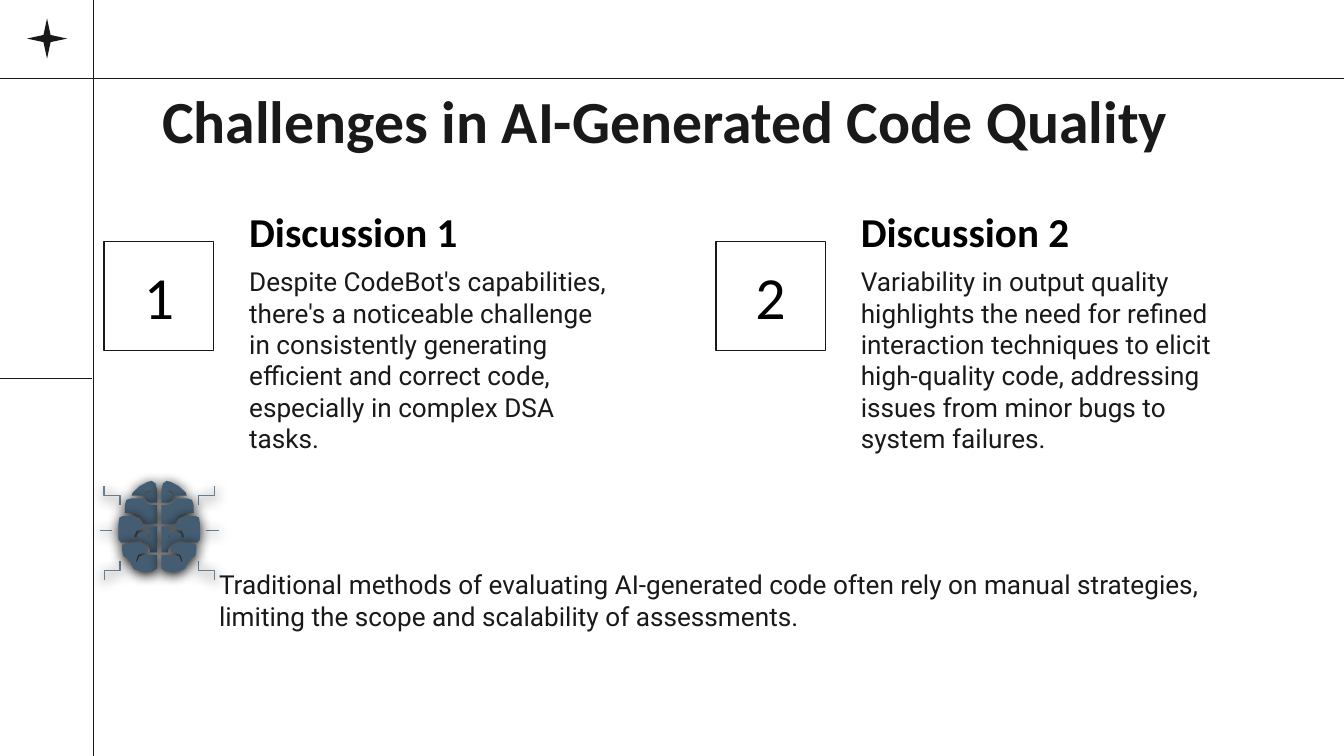
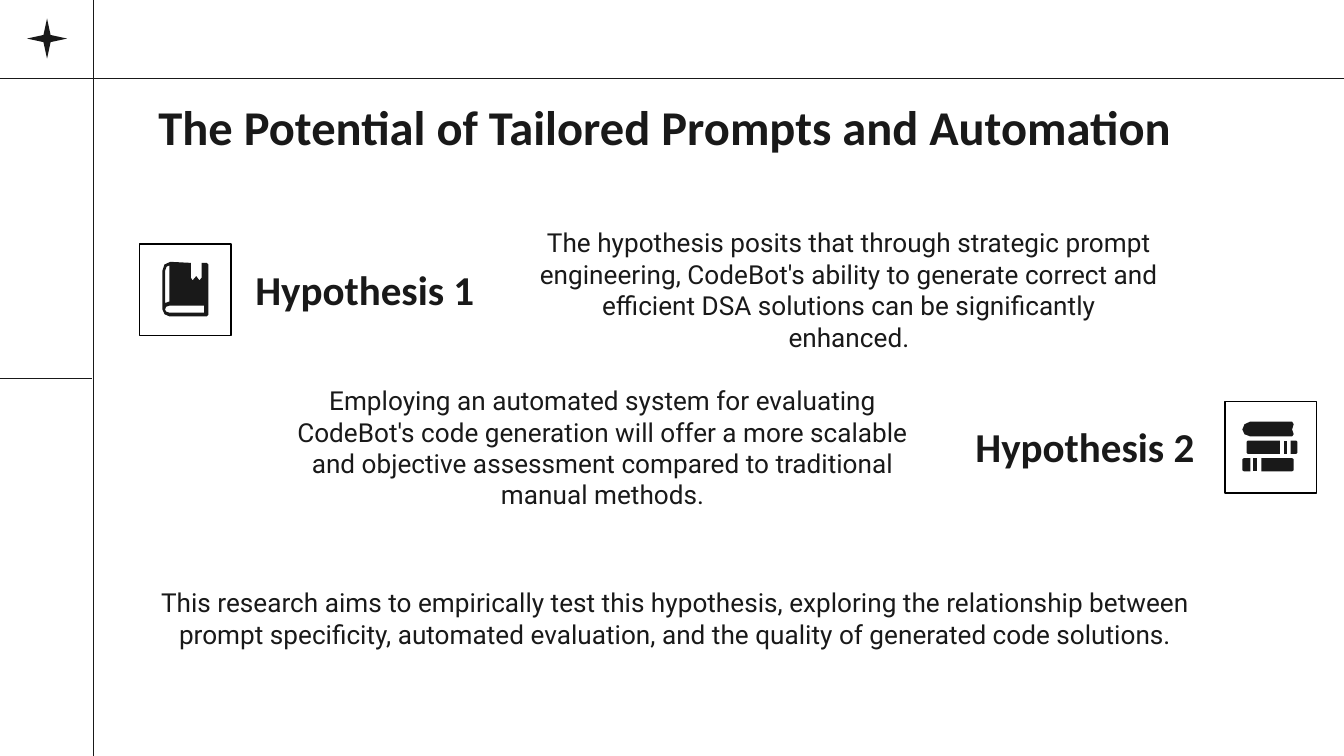
import pptx
import pptx.dml.color
import pptx.enum.shapes
import pptx.enum.text
import pptx.oxml.ns
import pptx.util
from lxml import etree
from pptx.util import Cm

WIDTH, HEIGHT = 25.4, 14.29
INK, BLACK, SLATE, STEEL = "191919", "000000", "445D73", "667E92"
HEADING, BODY = "Calibri", "Roboto"
ALIGN = pptx.enum.text.PP_ALIGN
ANCHOR = pptx.enum.text.MSO_ANCHOR
SHAPE = pptx.enum.shapes.MSO_SHAPE
CONNECTOR = pptx.enum.shapes.MSO_CONNECTOR
qn = pptx.oxml.ns.qn

# Right half of the brain, in cm from its axis and its top.
LOBES = [
    [(.14, 0), (.07, .05), (.04, .18), (.04, .41), (.17, .41), (.24, .38),
     (.27, .33), (.27, .3), (.24, .23), (.17, .2), (.14, .2), (.11, .18),
     (.14, .17), (.17, .17), (.25, .2), (.29, .28), (.52, .28), (.5, .22),
     (.37, .1), (.22, .02)],
    [(.52, .33), (.29, .33), (.26, .42), (.17, .46), (.04, .46), (.04, .81),
     (.29, .81), (.36, .67), (.5, .61), (.65, .61), (.65, .46), (.62, .36)],
    [(.67, .66), (.5, .66), (.37, .71), (.32, .81), (.32, .91), (.34, .91),
     (.43, .95), (.47, 1.04), (.47, 1.07), (.44, 1.08), (.42, 1.07),
     (.42, 1.04), (.4, .99), (.34, .97), (.27, .97), (.21, .99), (.19, 1.04),
     (.19, 1.08), (.17, 1.07), (.17, 1.04), (.2, .94), (.27, .91), (.29, .91),
     (.29, .86), (.04, .86), (.04, 1.35), (.17, 1.35), (.17, 1.3), (.22, 1.19),
     (.34, 1.14), (.55, 1.14), (.72, 1.17), (.77, 1.11), (.77, .81),
     (.75, .69)],
    [(.55, 1.17), (.34, 1.17), (.25, 1.22), (.22, 1.3), (.22, 1.35),
     (.29, 1.35), (.4, 1.4), (.44, 1.52), (.43, 1.55), (.42, 1.52),
     (.38, 1.43), (.29, 1.4), (.04, 1.4), (.04, 1.65), (.12, 1.71),
     (.27, 1.73), (.48, 1.67), (.57, 1.5), (.6, 1.47), (.68, 1.42),
     (.7, 1.32), (.7, 1.22), (.67, 1.19)],
]

# Icon outlines, in cm from the corner of their tile.
BOOK = [
    [(.56, .41), (.56, 1.09), (.48, 1.12), (.48, .51), (.51, .43)],
    [(1.22, 1.17), (1.22, 1.3), (.56, 1.3), (.5, 1.28), (.48, 1.24),
     (.5, 1.19), (.56, 1.17)],
    [(.58, .34), (.47, .39), (.43, .51), (.43, 1.24), (.47, 1.33),
     (.56, 1.37), (1.27, 1.37), (1.3, 1.34), (1.3, .39), (1.27, .36),
     (1.17, .36), (1.17, .64), (1.13, .69), (1.07, .61), (1, .69),
     (.97, .64), (.97, .36)],
]
BOOK_STACK = [
    [(.48, .38), (.37, .43), (.33, .53), (.37, .62), (.48, .66), (1.27, .66),
     (1.3, .62), (1.27, .53), (1.3, .43), (1.27, .38)],
    [(1.12, .74), (1.12, .99), (1.17, .99), (1.17, .74)],
    [(1.24, .74), (1.24, .99), (1.35, .99), (1.37, .97), (1.37, .76),
     (1.35, .74)],
    [(.43, .74), (.41, .76), (.41, .97), (.43, .99), (1.04, .99), (1.04, .74)],
    [(.53, 1.07), (.53, 1.32), (.61, 1.32), (.61, 1.07)],
    [(.69, 1.07), (.69, 1.32), (1.27, 1.32), (1.3, 1.3), (1.3, 1.09),
     (1.27, 1.07)],
    [(.36, 1.07), (.33, 1.09), (.33, 1.3), (.36, 1.32), (.48, 1.32),
     (.48, 1.07)],
]


def rgb(value):
    return pptx.dml.color.RGBColor.from_string(value)


def add_effects(shape, shaded):
    """Replace the theme shadow by none, or by a soft dark one."""
    properties = shape._element.spPr
    for inherited in properties.findall(qn("a:effectLst")):
        properties.remove(inherited)
    effects = etree.SubElement(properties, qn("a:effectLst"))
    if shaded:
        shadow = etree.SubElement(effects, qn("a:outerShdw"), blurRad="86360",
                                  dist="19050", dir="5040000", algn="bl",
                                  rotWithShape="0")
        etree.SubElement(shadow, qn("a:srgbClr"), val=BLACK)


def write(shape, text, size, font, color=INK, bold=False, align=ALIGN.LEFT,
          anchor=ANCHOR.MIDDLE, inset=.25):
    frame = shape.text_frame
    frame.word_wrap = True
    frame.vertical_anchor = anchor
    frame.margin_left = Cm(inset)
    frame.margin_right = frame.margin_top = frame.margin_bottom = Cm(.25)
    paragraph = frame.paragraphs[0]
    paragraph.text = text
    paragraph.alignment = align
    paragraph.font.name = font
    paragraph.font.size = pptx.util.Pt(size)
    paragraph.font.bold = bold
    paragraph.font.color.rgb = rgb(color)


def add_text(slide, box, text, size=14, font=BODY, **style):
    write(slide.shapes.add_textbox(*map(Cm, box)), text, size, font, **style)


def add_centred(slide, box, text, size=14, font=BODY, **style):
    add_text(slide, box, text, size, font, align=ALIGN.CENTER, inset=0, **style)


def add_line(slide, start, end, color=INK, kind=CONNECTOR.STRAIGHT,
             shaded=False):
    line = slide.shapes.add_connector(kind, *map(Cm, start + end))
    line.line.color.rgb = rgb(color)
    line.line.width = pptx.util.Pt(.75)
    add_effects(line, shaded)
    return line


def add_tile(slide, left, top, side, color):
    """Unfilled square that frames a number or an icon."""
    tile = slide.shapes.add_shape(SHAPE.RECTANGLE,
                                  *map(Cm, (left, top, side, side)))
    tile.shadow.inherit = False
    tile.fill.background()
    tile.line.color.rgb = rgb(color)
    tile.line.width = pptx.util.Pt(.75)
    return tile


def add_outline(slide, contours, left, top, color, mirror=1, shaded=False):
    """Filled outline whose contours are in cm from (left, top)."""
    placed = [[(Cm(left + mirror * x), Cm(top + y)) for x, y in contour]
              for contour in contours]
    builder = slide.shapes.build_freeform(*placed[0][0])
    builder.add_line_segments(placed[0][1:], close=True)
    for contour in placed[1:]:
        builder.move_to(*contour[0])
        builder.add_line_segments(contour[1:], close=True)
    outline = builder.convert_to_shape()
    outline.fill.solid()
    outline.fill.fore_color.rgb = rgb(color)
    outline.line.fill.background()
    add_effects(outline, shaded)


def add_brain(slide, axis, top):
    wire = {"color": STEEL, "shaded": True}
    for side in (-1, 1):
        x = axis + side * .89
        for y, flip in ((top + .28, side), (top + 1.7, -side)):
            # Wires are laid flat, then turned to leave vertically.
            bend = add_line(slide, (x - flip * .18, y - .15),
                            (x + flip * .18, y + .15),
                            kind=CONNECTOR.ELBOW, **wire)
            turn = 90 if side < 0 else 270
            bend._element.spPr.find(qn("a:xfrm")).set("rot", str(turn * 60000))
        add_line(slide, (x, top + .94), (x + side * .23, top + .94), **wire)
        for lobe in LOBES:
            add_outline(slide, [lobe], axis, top, SLATE, side, shaded=True)


def add_framed_slide(deck, title, title_size):
    slide = deck.slides.add_slide(deck.slide_layouts[6])
    add_line(slide, (0, 7.15), (1.73, 7.15))
    add_line(slide, (0, 1.48), (WIDTH, 1.48))
    add_line(slide, (1.77, 0), (1.77, HEIGHT))
    star = slide.shapes.add_shape(SHAPE.STAR_4_POINT,
                                  *map(Cm, (.51, .35, .76, .76)))
    star.adjustments[0] = .125
    star.shadow.inherit = False
    star.fill.solid()
    star.fill.fore_color.rgb = rgb(INK)
    star.line.fill.background()
    add_centred(slide, (2, 1.46, 21.4, 1.72), title, title_size, HEADING,
                bold=True, anchor=ANCHOR.BOTTOM)
    return slide


def add_discussion(slide, number, left, text):
    add_text(slide, (left + 2.49, 3.89, 7.39, .97), f"Discussion {number}",
             22, HEADING, color=BLACK, bold=True)
    add_text(slide, (left + 2.49, 4.77, 7.39, 2.59), text, anchor=ANCHOR.TOP)
    write(add_tile(slide, left, 4.56, 2.07, INK), str(number), 32, HEADING,
          color=BLACK, align=ALIGN.CENTER)


def add_hypothesis(slide, number, top, tile_left, icon, label_span, text_span,
                   text):
    """One row; each span is a left edge and a width."""
    label_left, label_width = label_span
    text_left, text_width = text_span
    add_centred(slide, (label_left, top + .1, label_width, 1.5),
                f"Hypothesis {number}", 22, HEADING, bold=True)
    add_centred(slide, (text_left, top - .52, text_width, 2.77), text)
    add_tile(slide, tile_left, top, 1.73, BLACK)
    for contours in icon:
        add_outline(slide, contours, tile_left, top, INK)


def build_challenges(deck):
    slide = add_framed_slide(deck, "Challenges in AI-Generated Code Quality", 32)
    add_discussion(
        slide, 1, 1.97,
        "Despite CodeBot's capabilities, there's a noticeable challenge in "
        "consistently generating efficient and correct code, especially in "
        "complex DSA tasks.")
    add_discussion(
        slide, 2, 13.53,
        "Variability in output quality highlights the need for refined "
        "interaction techniques to elicit high-quality code, addressing "
        "issues from minor bugs to system failures.")
    add_text(
        slide, (3.89, 10.5, 19.1, 2.59),
        "Traditional methods of evaluating AI-generated code often rely on "
        "manual strategies, limiting the scope and scalability of "
        "assessments.", anchor=ANCHOR.TOP)
    add_brain(slide, 3.01, 9.09)


def build_potential(deck):
    slide = add_framed_slide(
        deck, "The Potential of Tailored Prompts and Automation", 26)
    add_hypothesis(
        slide, 1, 4.61, 2.64, [BOOK], (3.83, 6.38), (10.2, 11.94),
        "The hypothesis posits that through strategic prompt engineering, "
        "CodeBot's ability to generate correct and efficient DSA solutions "
        "can be significantly enhanced.")
    add_hypothesis(
        slide, 2, 7.59, 23.15, [[book] for book in BOOK_STACK],
        (17.57, 6.12), (5.38, 12.27),
        "Employing an automated system for evaluating CodeBot's code "
        "generation will offer a more scalable and objective assessment "
        "compared to traditional manual methods.")
    add_centred(
        slide, (2.41, 10.3, 20.96, 2.77),
        "This research aims to empirically test this hypothesis, exploring "
        "the relationship between prompt specificity, automated evaluation, "
        "and the quality of generated code solutions.")


def main():
    deck = pptx.Presentation()
    deck.slide_width, deck.slide_height = Cm(WIDTH), Cm(HEIGHT)
    build_challenges(deck)
    build_potential(deck)
    deck.save("out.pptx")


if __name__ == "__main__":
    main()
